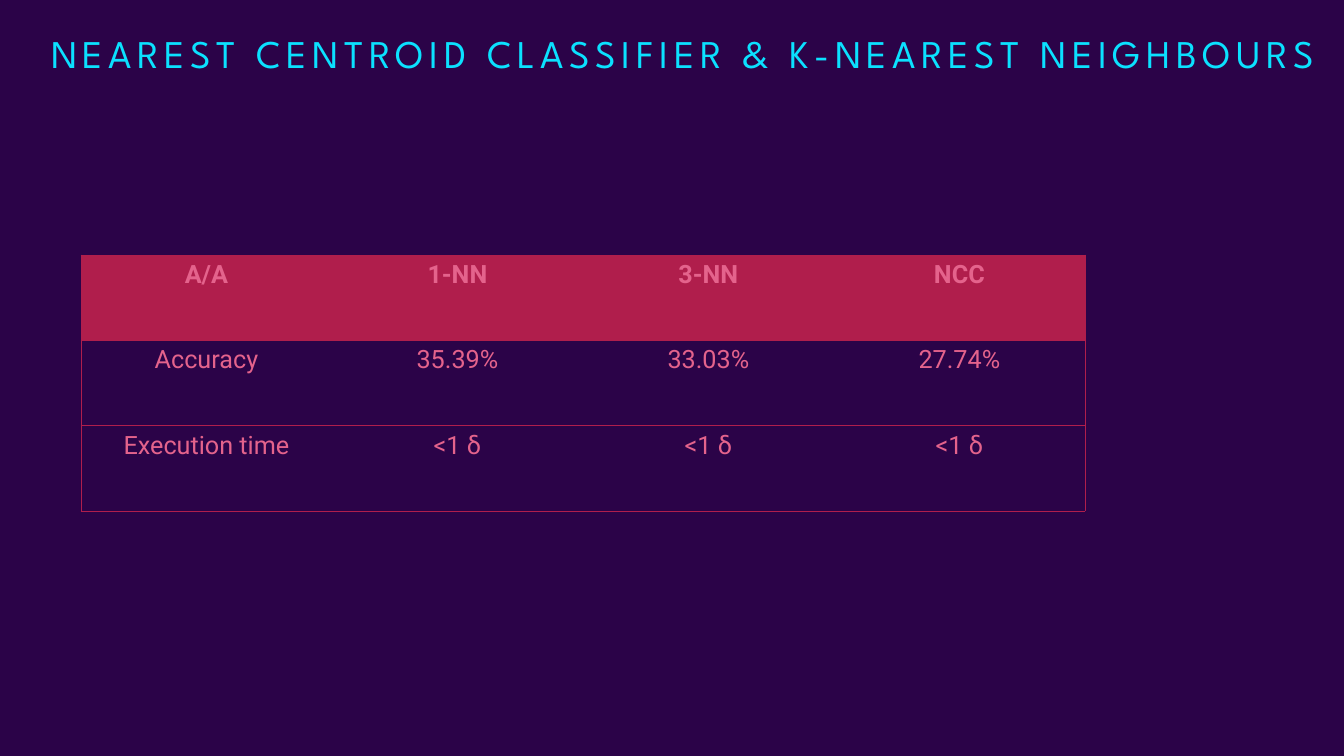
from lxml import etree
from pptx import Presentation
from pptx.dml.color import RGBColor
from pptx.enum.text import MSO_ANCHOR, PP_ALIGN
from pptx.oxml.ns import qn
from pptx.util import Pt

LEFT, CENTER = PP_ALIGN.LEFT, PP_ALIGN.CENTER
TOP = MSO_ANCHOR.TOP
PX = 914400 / 100.8

PURPLE = RGBColor(0x2B, 0x03, 0x48)
CYAN = RGBColor(0x0B, 0xE1, 0xFF)
CRIMSON = RGBColor(0xB0, 0x1E, 0x4C)
PINK = RGBColor(0xE4, 0x63, 0x8C)

TITLE_FORMAT = {"name": "League Spartan", "size": Pt(28), "bold": False}
CELL_FORMAT = {"name": "Roboto", "size": Pt(18)}

RESULTS = [
    ["A/A", "1-NN", "3-NN", "NCC"],
    ["Accuracy", "35.39%", "33.03%", "27.74%"],
    ["Execution time", "<1 δ", "<1 δ", "<1 δ"],
]


def px(*lengths):
    return [round(length * PX) for length in lengths]


def format_font(font, values, color):
    for name, value in values.items():
        setattr(font, name, value)
    font.color.rgb = color


presentation = Presentation()
presentation.slide_width, presentation.slide_height = px(1344, 756)
slide = presentation.slides.add_slide(presentation.slide_layouts[5])
slide.background.fill.solid()
slide.background.fill.fore_color.rgb = PURPLE

title = slide.shapes.title
title.left, title.top, title.width, title.height = px(41, 30, 1328, 108)
title.text_frame.word_wrap = True
title.text_frame.vertical_anchor = TOP
paragraph = title.text_frame.paragraphs[0]
paragraph.alignment = LEFT
paragraph.line_spacing = 0.9
run = paragraph.add_run()
run.text = "NEAREST CENTROID CLASSIFIER & K-NEAREST NEIGHBOURS"
format_font(run.font, TITLE_FORMAT, CYAN)
run.font._element.set("spc", "400")

row_count, column_count = len(RESULTS), len(RESULTS[0])
table = slide.shapes.add_table(row_count, column_count, *px(81, 255, 1004, 256)).table
table.horz_banding = False

for row, values in enumerate(RESULTS):
    for column, value in enumerate(values):
        cell = table.cell(row, column)
        cell.vertical_anchor = TOP
        borders = {
            "a:lnL": column == 0,
            "a:lnR": column == column_count - 1,
            "a:lnT": True,
            "a:lnB": True,
        }
        properties = cell._tc.get_or_add_tcPr()
        for tag, visible in borders.items():
            line = etree.SubElement(properties, qn(tag), w=str(Pt(0.5)))
            if visible:
                fill = etree.SubElement(line, qn("a:solidFill"))
                etree.SubElement(fill, qn("a:srgbClr"), val=str(CRIMSON))
            else:
                etree.SubElement(line, qn("a:noFill"))
        if row == 0:
            cell.fill.solid()
            cell.fill.fore_color.rgb = CRIMSON
        else:
            cell.fill.background()
        paragraph = cell.text_frame.paragraphs[0]
        paragraph.alignment = CENTER
        run = paragraph.add_run()
        run.text = value
        format_font(run.font, CELL_FORMAT | {"bold": row == 0}, PINK)

presentation.save("out.pptx")
